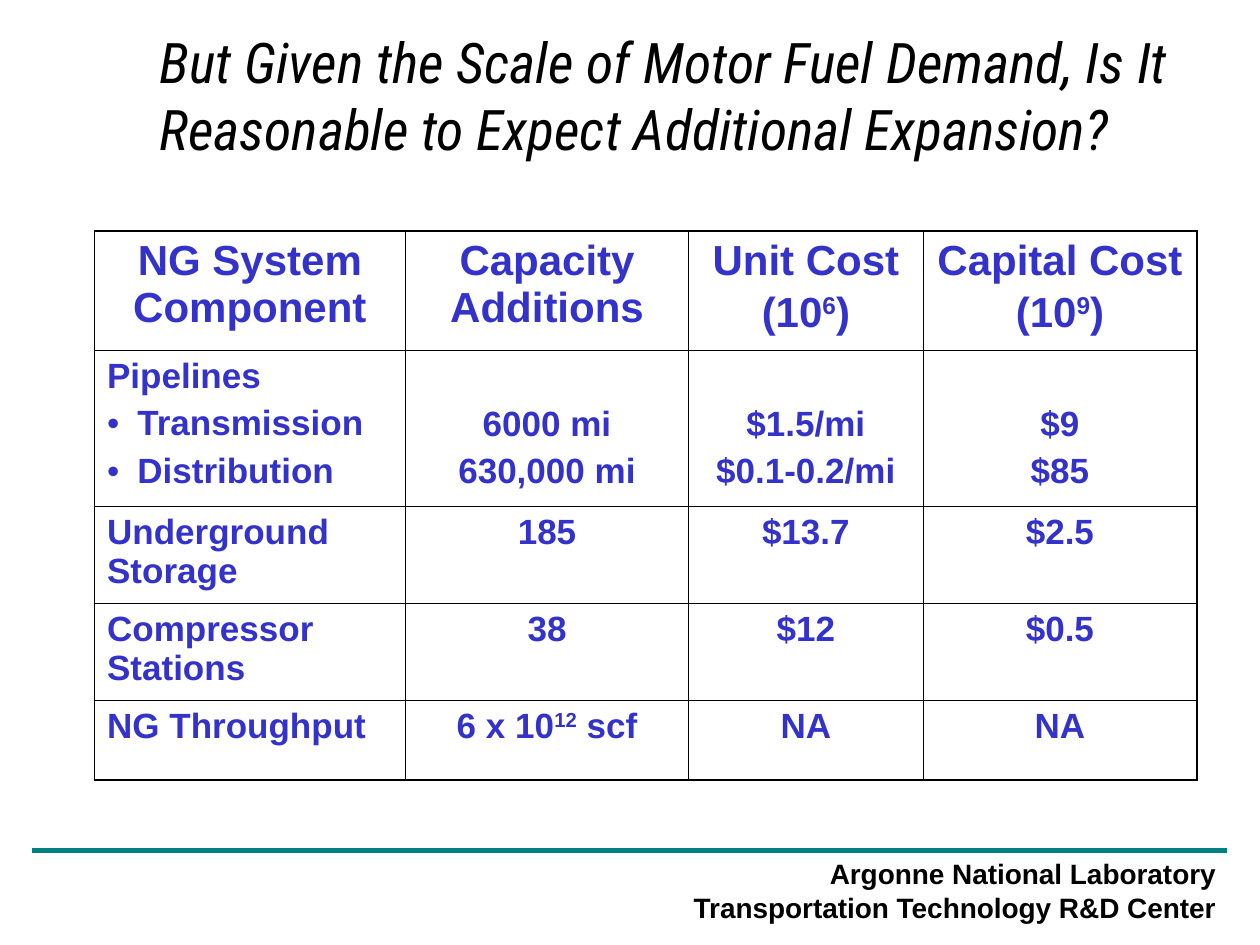
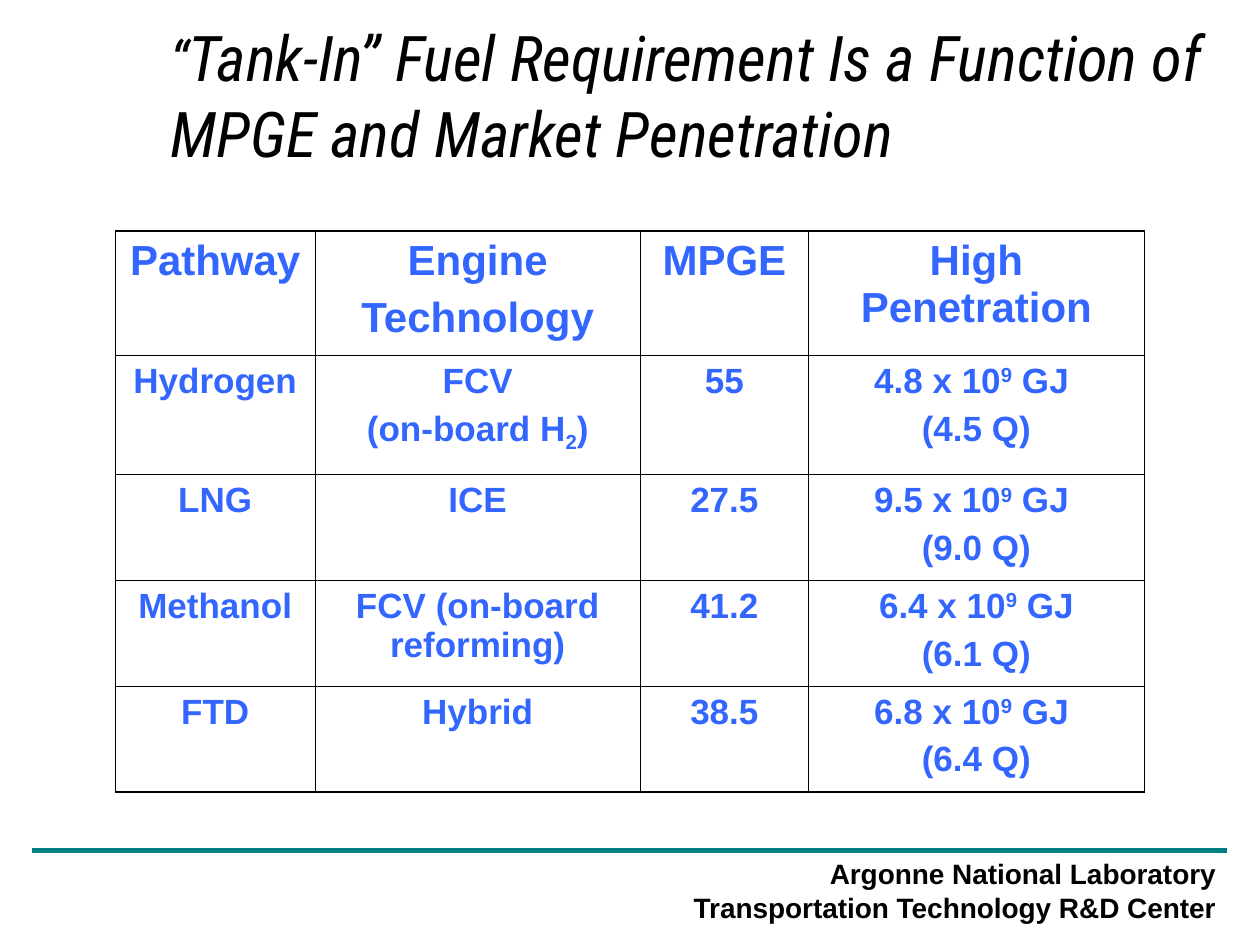
import lxml.etree
import pptx
import pptx.dml.color
import pptx.enum.shapes
import pptx.enum.text
import pptx.oxml
import pptx.oxml.ns
import pptx.util

BLACK = pptx.dml.color.RGBColor(0x00, 0x00, 0x00)
TEAL = pptx.dml.color.RGBColor(0x00, 0x80, 0x80)
INDIGO = pptx.dml.color.RGBColor(0x33, 0x33, 0xCC)
AZURE = pptx.dml.color.RGBColor(0x33, 0x66, 0xFF)

ALIGN = pptx.enum.text.PP_ALIGN
TITLE_ONLY = 5
GRID_COLUMNS, GRID_ROWS = 120, 90
OUTER_RULE, INNER_RULE = 1.08, 0.45
BODY_SIZE, BODY_GAP = 20, 5
RAISED, LOWERED = "^", "~"
BASELINES = {RAISED: "30000", LOWERED: "-25000"}


class Deck:
    heading_face = "Roboto Condensed"
    text_face = "Arial"

    def __init__(self):
        self.presentation = pptx.Presentation()
        self.presentation.slide_width = pptx.util.Inches(10)
        self.presentation.slide_height = pptx.util.Inches(7.5)
        self.slide = None

    def across(self, columns):
        return round(self.presentation.slide_width * columns / GRID_COLUMNS)

    def down(self, rows):
        return round(self.presentation.slide_height * rows / GRID_ROWS)

    def box(self, left, top, width, height):
        return self.across(left), self.down(top), self.across(width), self.down(height)

    def set_font(self, font, size, color, face=text_face, bold=True, italic=False):
        font.name = face
        font.size = pptx.util.Pt(size)
        font.bold = bold
        font.italic = italic
        font.color.rgb = color

    def start_slide(self):
        layout = self.presentation.slide_layouts[TITLE_ONLY]
        self.slide = self.presentation.slides.add_slide(layout)
        self.rule(3, 81, 116.9)
        self.footer(
            ["Argonne National Laboratory", "Transportation Technology R&D Center"]
        )

    def rule(self, left, top, right):
        line = self.slide.shapes.add_connector(
            pptx.enum.shapes.MSO_CONNECTOR.STRAIGHT,
            self.across(left), self.down(top), self.across(right), self.down(top),
        )
        line.line.color.rgb = TEAL
        line.line.width = pptx.util.Pt(3)
        properties = line._element.spPr
        lxml.etree.SubElement(properties, pptx.oxml.ns.qn("a:effectLst"))

    def footer(self, lines):
        frame = self.slide.shapes.add_textbox(*self.box(60, 81, 57, 7.5)).text_frame
        frame.word_wrap = True
        frame.text = "\n".join(lines)
        for paragraph in frame.paragraphs:
            paragraph.alignment = ALIGN.RIGHT
            self.set_font(paragraph.font, 16, BLACK)

    def title(self, pieces, left, size):
        heading = self.slide.shapes.title
        heading.left, heading.top, heading.width, heading.height = self.box(
            left, 3, GRID_COLUMNS - left, 12
        )
        frame = heading.text_frame
        frame.auto_size = pptx.enum.text.MSO_AUTO_SIZE.NONE
        frame.vertical_anchor = pptx.enum.text.MSO_ANCHOR.MIDDLE
        paragraph = frame.paragraphs[0]
        paragraph.alignment = ALIGN.LEFT
        self.set_font(paragraph.font, size, BLACK, self.heading_face, False, True)
        for text, own_size in pieces:
            run = paragraph.add_run()
            run.text = text
            if own_size:
                run.font.size = pptx.util.Pt(own_size)

    def bullet(self, paragraph, color):
        properties = paragraph._p.get_or_add_pPr()
        indent = pptx.util.Inches(0.24)
        properties.set("marL", str(indent))
        properties.set("indent", str(-indent))
        tint = lxml.etree.SubElement(properties, pptx.oxml.ns.qn("a:buClr"))
        lxml.etree.SubElement(tint, pptx.oxml.ns.qn("a:srgbClr"), val=str(color))
        lxml.etree.SubElement(
            properties, pptx.oxml.ns.qn("a:buFont"), typeface=self.text_face
        )
        lxml.etree.SubElement(properties, pptx.oxml.ns.qn("a:buChar"), char="•")

    def write_line(self, paragraph, line, size, color):
        if line.startswith("• "):
            line = line[2:]
            self.bullet(paragraph, color)
        self.set_font(paragraph.font, size, color)
        mark = LOWERED if LOWERED in line else RAISED
        for position, text in enumerate(line.split(mark)):
            run = paragraph.add_run()
            run.text = text
            if position % 2:
                run._r.get_or_add_rPr().set("baseline", BASELINES[mark])

    def write_cell(self, cell, text, size, gap, color, alignment):
        frame = cell.text_frame
        for number, line in enumerate(text.split("\n")):
            paragraph = frame.add_paragraph() if number else frame.paragraphs[0]
            paragraph.alignment = alignment
            if number:
                paragraph.space_before = pptx.util.Pt(gap)
            self.write_line(paragraph, line, size, color)

    def border_cell(self, cell, outer_sides):
        properties = cell._tc.get_or_add_tcPr()
        for position, (side, outer) in enumerate(zip("LRTB", outer_sides)):
            width = pptx.util.Pt(OUTER_RULE if outer else INNER_RULE)
            properties.insert(position, pptx.oxml.parse_xml(
                f'<a:ln{side} {pptx.oxml.ns.nsdecls("a")} w="{width}"><a:solidFill>'
                f'<a:srgbClr val="{BLACK}"/></a:solidFill></a:ln{side}>'
            ))

    def table(self, left, widths, heights, entries, color, header_gap,
              label_alignment=ALIGN.CENTER):
        last_row, last_column = len(heights) - 1, len(widths) - 1
        table = self.slide.shapes.add_table(
            len(heights), len(widths), *self.box(left, 22, sum(widths), sum(heights))
        ).table
        table.first_row = table.horz_banding = False
        for column, width in zip(table.columns, widths):
            column.width = self.across(width)
        for row, height in zip(table.rows, heights):
            row.height = self.down(height)
        for r, texts in enumerate(entries):
            size, gap = (BODY_SIZE, BODY_GAP) if r else (24, header_gap)
            for c, text in enumerate(texts):
                cell = table.cell(r, c)
                cell.fill.background()
                alignment = label_alignment if r and not c else ALIGN.CENTER
                self.write_cell(cell, text, size, gap, color, alignment)
                self.border_cell(cell, (c == 0, c == last_column, r == 0, r == last_row))
        return table


def capital_cost_slide(deck):
    deck.start_slide()
    deck.title(
        [("But Given the Scale of Motor Fuel Demand, Is It "
          "Reasonable to Expect Additional Expansion?", None)],
        left=14, size=32,
    )
    costs = deck.table(
        9, [29.6, 27, 22.3, 26.1], [11.35, 14.85, 9.24, 9.24, 7.6],
        [
            ["NG System Component", "Capacity Additions",
             "Unit Cost\n(10^6^)", "Capital Cost\n(10^9^)"],
            ["Pipelines\n• Transmission\n• Distribution", "6000 mi\n630,000 mi",
             "$1.5/mi\n$0.1-0.2/mi", "$9\n$85"],
            ["Underground Storage", "185", "$13.7", "$2.5"],
            ["Compressor Stations", "38", "$12", "$0.5"],
            ["NG Throughput", "6 x 10^12^ scf", "NA", "NA"],
        ],
        INDIGO, header_gap=3, label_alignment=ALIGN.LEFT,
    )
    for column in range(1, 4):
        costs.cell(1, column).margin_top = pptx.util.Inches(0.43)


def fuel_requirement_slide(deck):
    deck.start_slide()
    deck.title(
        [("“", 32),
         ("Tank-In” Fuel Requirement Is a Function of MPGE and Market Penetration", None)],
        left=15, size=36,
    )
    deck.table(
        11, [19, 31, 16, 32], [11.85, 11.35] + [10.07] * 3,
        [
            ["Pathway", "Engine\nTechnology", "MPGE", "High Penetration"],
            ["Hydrogen", "FCV\n(on-board H~2~)", "55", "4.8 x 10^9^ GJ \n(4.5 Q)"],
            ["LNG", "ICE", "27.5", "9.5 x 10^9^ GJ \n(9.0 Q)"],
            ["Methanol", "FCV (on-board reforming)", "41.2", "6.4 x 10^9^ GJ\n(6.1 Q)"],
            ["FTD", "Hybrid", "38.5", "6.8 x 10^9^ GJ \n(6.4 Q)"],
        ],
        AZURE, header_gap=6,
    )


def main():
    deck = Deck()
    capital_cost_slide(deck)
    fuel_requirement_slide(deck)
    deck.presentation.save("out.pptx")


if __name__ == "__main__":
    main()
